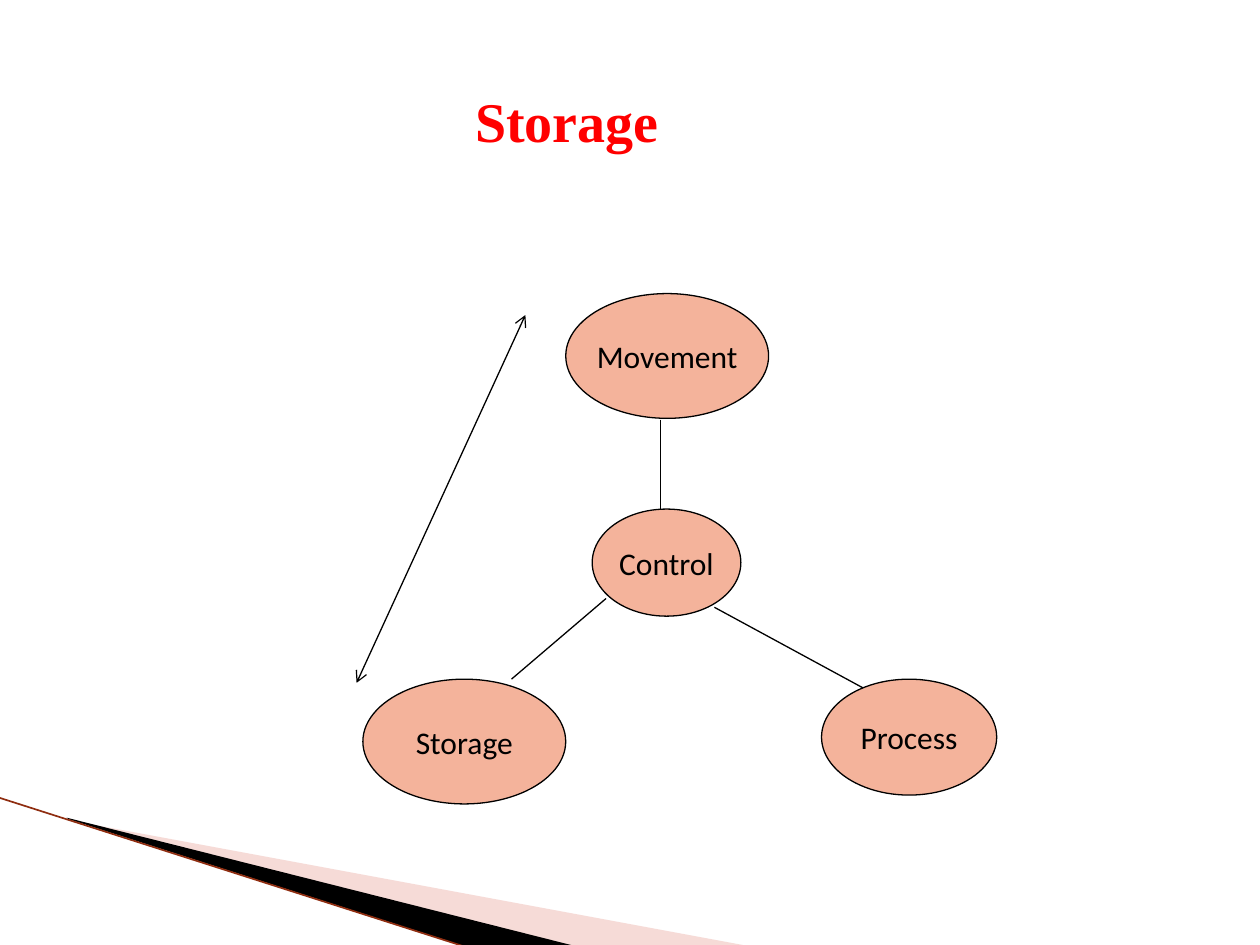
from dataclasses import dataclass

from lxml.etree import SubElement
from pptx import Presentation
from pptx.dml.color import RGBColor
from pptx.enum.shapes import MSO_CONNECTOR as Connector, MSO_SHAPE as Shape
from pptx.enum.text import MSO_ANCHOR as Anchor, PP_ALIGN as Align
from pptx.oxml.ns import qn
from pptx.util import Inches, Pt


@dataclass(frozen=True)
class Theme:
    title_font: str = "Times New Roman"
    title_size: int = 32
    title_color: str = "FF0000"
    label_font: str = "Calibri"
    label_size: int = 18
    ink: str = "000000"
    node_fill: str = "F4B39B"
    blush: str = "E9A59D"
    edge: str = "8F2D10"
    line_width: float = 0.75
    edge_width: float = 0.95


THEME = Theme()
TITLE = ("Storage", (0, 0.33, 9, 1.25))
WEDGES = [
    ([(0.55, 6.51), (5.95, 7.51), (4.56, 7.51), (0.55, 6.5)], THEME.blush, 40),
    ([(0.53, 6.49), (4.57, 7.51), (3.72, 7.52), (0.54, 6.5)], THEME.ink, 100),
]
EDGE = ((-0.01, 6.33), (3.71, 7.52))
NODES = [
    ("Movement", (4.49, 2.33, 1.61, 0.99)),
    ("Control", (4.7, 4.04, 1.18, 0.85)),
    ("Storage", (2.88, 5.39, 1.61, 0.99)),
    ("Process", (6.52, 5.39, 1.39, 0.92)),
]
LINKS = [
    ((5.24, 3.33), (5.24, 4.04)),
    ((4.81, 4.75), (4.06, 5.39)),
    ((5.67, 4.82), (6.85, 5.46)),
]
DATA_PATH = ((2.83, 5.42), (4.17, 2.5))


def inches(values):
    """Convert a sequence of numbers to lengths."""
    return [Inches(value) for value in values]


def write_text(shape, text, font_name, size, color, bold=False, wrap=False):
    """Put one centred line of text in a shape."""
    frame = shape.text_frame
    frame.text = text
    frame.word_wrap = wrap
    frame.vertical_anchor = Anchor.MIDDLE
    paragraph = frame.paragraphs[0]
    paragraph.alignment = Align.CENTER
    font = paragraph.runs[0].font
    font.name, font.size, font.bold = font_name, Pt(size), bold
    font.color.rgb = RGBColor.from_string(color)


def set_fill(shape, color):
    """Give a shape a solid fill and no shadow."""
    shape.shadow.inherit = False
    shape.fill.solid()
    shape.fill.fore_color.rgb = RGBColor.from_string(color)


def set_line(shape, color, width):
    """Give a shape or connector a solid line."""
    shape.line.color.rgb = RGBColor.from_string(color)
    shape.line.width = Pt(width)


def add_wedge(slide, points, color, opacity):
    """Draw one closed corner wedge."""
    start, *others = [inches(point) for point in points]
    builder = slide.shapes.build_freeform(*start)
    builder.add_line_segments(others, close=True)
    shape = builder.convert_to_shape()
    set_fill(shape, color)
    shape.line.fill.background()
    if opacity < 100:
        fill_color = shape._element.spPr.find(".//" + qn("a:srgbClr"))
        SubElement(fill_color, qn("a:alpha"), val=str(opacity * 1000))


def add_line(slide, ends, color=THEME.ink, width=THEME.line_width, arrows=False):
    """Draw a straight line, with arrowheads at both ends on request."""
    start, end = ends
    line = slide.shapes.add_connector(Connector.STRAIGHT, *inches(start + end))
    set_line(line, color, width)
    if arrows:
        for tag in ("a:headEnd", "a:tailEnd"):
            SubElement(line.line._get_or_add_ln(), qn(tag), type="arrow")
    SubElement(line._element.spPr, qn("a:effectLst"))


def add_node(slide, label, box):
    """Draw one labelled ellipse."""
    shape = slide.shapes.add_shape(Shape.OVAL, *inches(box))
    set_fill(shape, THEME.node_fill)
    set_line(shape, THEME.ink, THEME.line_width)
    write_text(shape, label, THEME.label_font, THEME.label_size, THEME.ink)


def main():
    """Build the storage operation slide."""
    presentation = Presentation()
    presentation.slide_width, presentation.slide_height = inches((10, 7.5))
    slide = presentation.slides.add_slide(presentation.slide_layouts[6])
    for wedge in WEDGES:
        add_wedge(slide, *wedge)
    add_line(slide, EDGE, THEME.edge, THEME.edge_width)
    text, box = TITLE
    title = slide.shapes.add_textbox(*inches(box))
    write_text(title, text, THEME.title_font, THEME.title_size,
               THEME.title_color, bold=True, wrap=True)
    for node in NODES:
        add_node(slide, *node)
    for link in LINKS:
        add_line(slide, link)
    add_line(slide, DATA_PATH, arrows=True)
    presentation.save("out.pptx")


if __name__ == "__main__":
    main()
